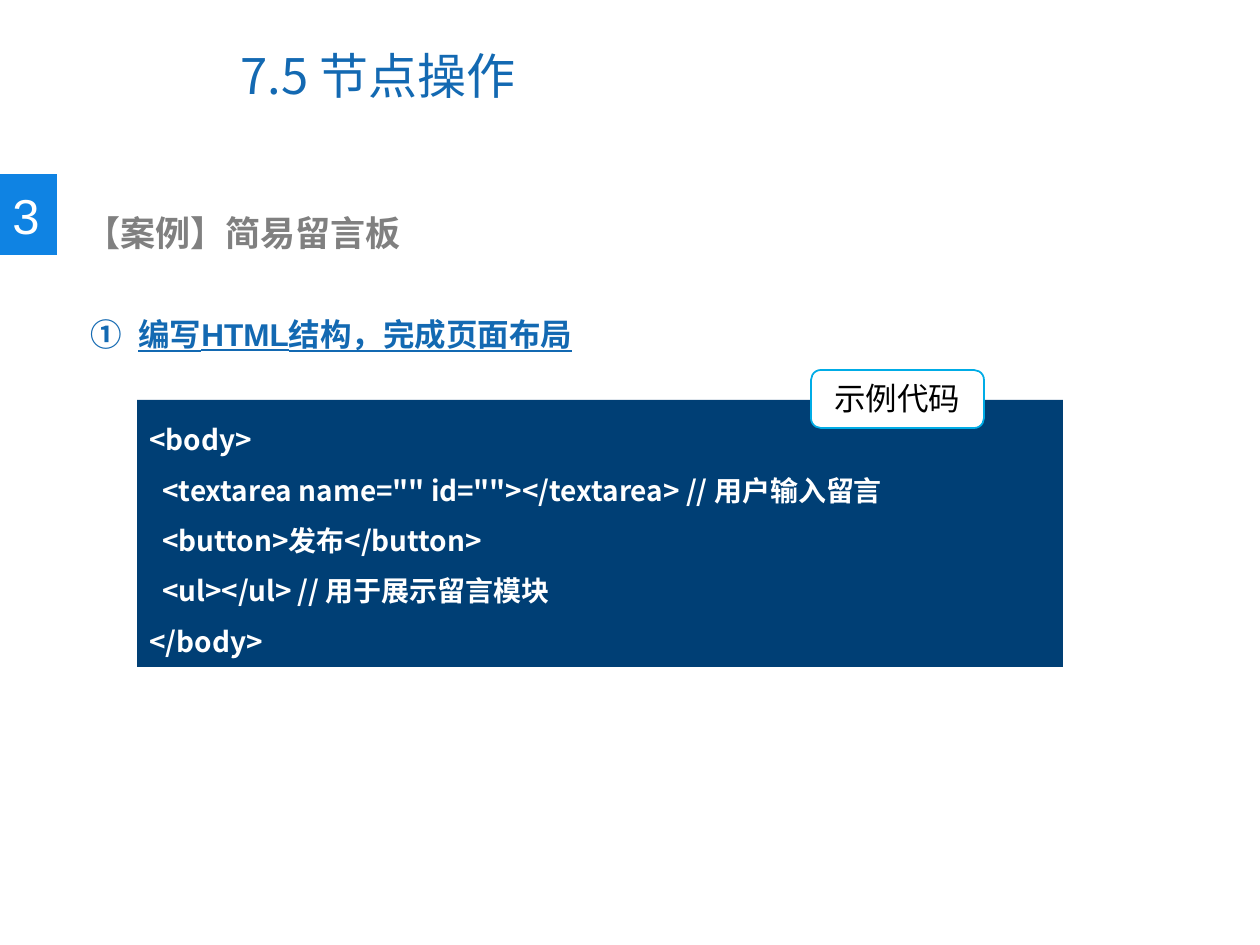
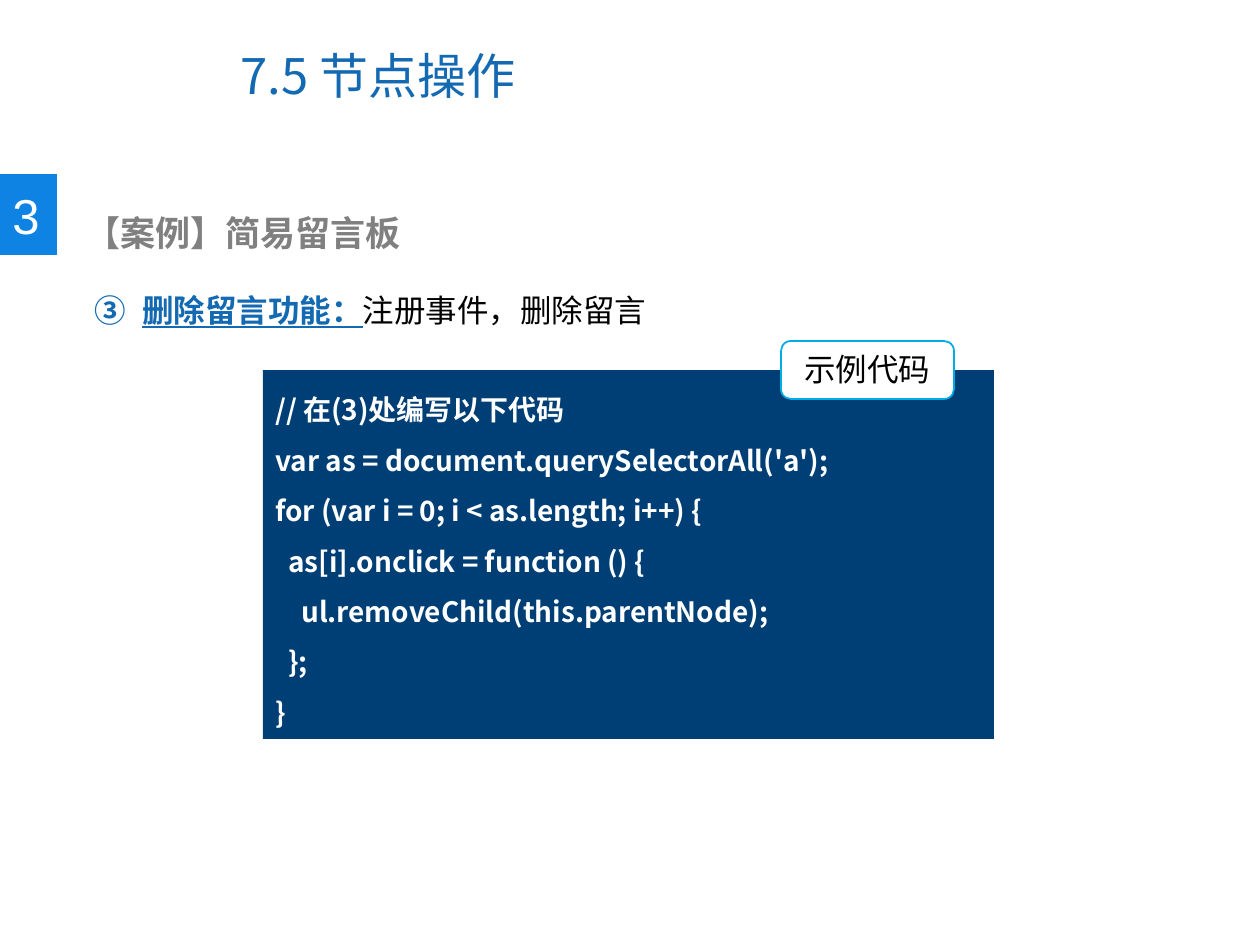
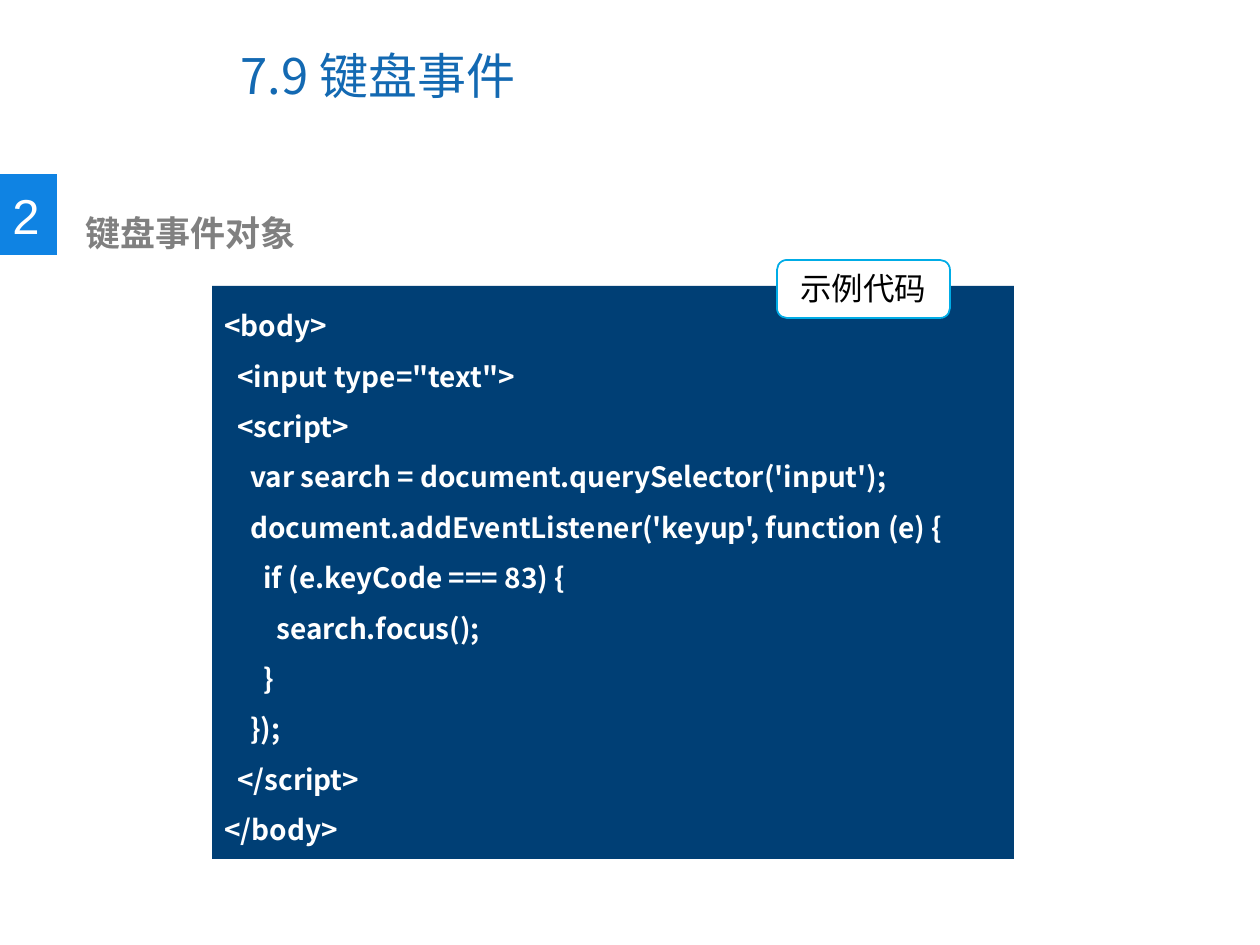
"""Build three lesson slides on DOM nodes and keyboard events."""
from dataclasses import dataclass
from typing import NamedTuple, Optional, Union

from lxml import etree
from pptx import Presentation
from pptx.dml.color import RGBColor
from pptx.enum.shapes import MSO_SHAPE
from pptx.enum.text import MSO_ANCHOR, PP_ALIGN
from pptx.oxml.ns import qn
from pptx.shapes.autoshape import Shape
from pptx.shapes.shapetree import GroupShapes, SlideShapes
from pptx.slide import Slide
from pptx.util import Pt

RECTANGLE = MSO_SHAPE.RECTANGLE
ROUNDED = MSO_SHAPE.ROUNDED_RECTANGLE
TOP = MSO_ANCHOR.TOP
MIDDLE = MSO_ANCHOR.MIDDLE
LEFT = PP_ALIGN.LEFT
CENTER = PP_ALIGN.CENTER

BLACK = RGBColor(0x00, 0x00, 0x00)
WHITE = RGBColor(0xFF, 0xFF, 0xFF)
GREY = RGBColor(0x80, 0x80, 0x80)
TITLE_BLUE = RGBColor(0x13, 0x69, 0xB2)
BADGE_BLUE = RGBColor(0x0F, 0x83, 0xE3)
CODE_NAVY = RGBColor(0x00, 0x3F, 0x75)
TAG_CYAN = RGBColor(0x00, 0xAC, 0xE6)

LATIN = "Arial"
CJK = "Noto Sans CJK SC"
EMU_PER_PX = 914400 / 126
BLANK_LAYOUT = 6
CODE_INDENT = 13
CODE_LINE = 51
CODE_PADDING = 12
STEP_INDENT = 48

Shapes = Union[SlideShapes, GroupShapes]


class Box(NamedTuple):
    """Left, top, width and height in px."""

    left: int
    top: int
    width: int
    height: int


class Style(NamedTuple):
    """Look of a text run."""

    size: int
    color: RGBColor
    font: str = LATIN
    bold: bool = False
    underline: bool = False


class CodeLine(NamedTuple):
    """A line of code and its nesting depth."""

    depth: int
    text: str


@dataclass(frozen=True)
class Step:
    """A numbered step of the case study."""

    box: Box
    number: int
    name: str
    detail: str = ""


@dataclass(frozen=True)
class Listing:
    """A code panel with its tag."""

    left: int
    top: int
    width: int
    tag_left: int
    tag_top: int
    lines: tuple[CodeLine, ...]


@dataclass(frozen=True)
class Lesson:
    """Content of one slide."""

    title: str
    section: str
    heading: str
    listing: Listing
    step: Optional[Step] = None


TITLE_BOX = Box(228, 21, 650, 107)
BADGE_BOX = Box(0, 174, 57, 81)
NUMBER_BOX = Box(0, 179, 53, 72)
HEADING_BOX = Box(59, 205, 648, 55)
HEADING_INDENT = 14
TAG_WIDTH, TAG_HEIGHT = 173, 58

TITLE_STYLE = Style(28, TITLE_BLUE, CJK)
NUMBER_STYLE = Style(28, WHITE)
HEADING_STYLE = Style(20, GREY, bold=True)
STEP_STYLE = Style(18, TITLE_BLUE, bold=True, underline=True)
BODY_STYLE = Style(18, BLACK)
CODE_STYLE = Style(16, WHITE, CJK, bold=True)

NODES_TITLE = "7.5 节点操作"
BOARD_HEADING = "【案例】简易留言板"
TAG_TEXT = "示例代码"

LESSONS = (
    Lesson(
        NODES_TITLE, "3", BOARD_HEADING,
        Listing(137, 400, 926, 811, 370, (
            CodeLine(0, "<body>"),
            CodeLine(1, '<textarea name="" id=""></textarea> // 用户输入留言'),
            CodeLine(1, "<button>发布</button>"),
            CodeLine(1, "<ul></ul> // 用于展示留言模块"),
            CodeLine(0, "</body>"),
        )),
        Step(Box(78, 271, 1090, 89), 1, "编写HTML结构，完成页面布局"),
    ),
    Lesson(
        NODES_TITLE, "3", BOARD_HEADING,
        Listing(263, 370, 731, 781, 341, (
            CodeLine(0, "// 在(3)处编写以下代码"),
            CodeLine(0, "var as = document.querySelectorAll('a');"),
            CodeLine(0, "for (var i = 0; i < as.length; i++) {"),
            CodeLine(1, "as[i].onclick = function () {"),
            CodeLine(2, "ul.removeChild(this.parentNode);"),
            CodeLine(1, "};"),
            CodeLine(0, "}"),
        )),
        Step(Box(82, 247, 1090, 77), 3, "删除留言功能：", "注册事件，删除留言"),
    ),
    Lesson(
        "7.9 键盘事件", "2", "键盘事件对象",
        Listing(212, 286, 802, 777, 260, (
            CodeLine(0, "<body>"),
            CodeLine(1, '<input type="text">'),
            CodeLine(1, "<script>"),
            CodeLine(2, "var search = document.querySelector('input');"),
            CodeLine(2, "document.addEventListener('keyup', function (e) {"),
            CodeLine(3, "if (e.keyCode === 83) {"),
            CodeLine(4, "search.focus();"),
            CodeLine(3, "}"),
            CodeLine(2, "});"),
            CodeLine(1, "</script>"),
            CodeLine(0, "</body>"),
        )),
    ),
)


def px(length: int) -> int:
    """Turn px into EMU."""
    return round(length * EMU_PER_PX)


def add_run(paragraph, text: str, style: Style) -> None:
    """Append a styled run to a paragraph."""
    run = paragraph.add_run()
    run.text = text
    font = run.font
    font.name = style.font
    font.size = Pt(style.size)
    font.bold = style.bold
    font.underline = style.underline
    font.color.rgb = style.color
    east_asian = etree.SubElement(run._r.get_or_add_rPr(), qn("a:ea"))
    east_asian.set("typeface", CJK)


def set_indent(paragraph, margin: int, first_line: int = 0) -> None:
    """Set the left margin and first-line indent of a paragraph."""
    properties = paragraph._p.get_or_add_pPr()
    properties.set("marL", str(px(margin)))
    properties.set("indent", str(px(first_line)))


def add_text(shapes: Shapes, box: Box, wrap: bool = True, anchor: MSO_ANCHOR = TOP):
    """Add a text box and return its first paragraph."""
    frame = shapes.add_textbox(*map(px, box)).text_frame
    frame.word_wrap = wrap
    frame.vertical_anchor = anchor
    return frame.paragraphs[0]


def add_panel(shapes: Shapes, kind: MSO_SHAPE, box: Box, fill: RGBColor,
              outline: Optional[RGBColor] = None) -> Shape:
    """Add a filled shape with top-aligned text."""
    panel = shapes.add_shape(kind, *map(px, box))
    panel.shadow.inherit = False
    panel.fill.solid()
    panel.fill.fore_color.rgb = fill
    if outline is None:
        panel.line.fill.background()
    else:
        panel.line.color.rgb = outline
        panel.line.width = Pt(1)
    panel.text_frame.word_wrap = True
    panel.text_frame.vertical_anchor = TOP
    return panel


def draw_header(slide: Slide, lesson: Lesson) -> None:
    """Draw the title, section badge and heading."""
    add_run(add_text(slide.shapes, TITLE_BOX, anchor=MIDDLE), lesson.title, TITLE_STYLE)
    badge = slide.shapes.add_group_shape().shapes
    add_panel(badge, RECTANGLE, BADGE_BOX, BADGE_BLUE)
    add_run(add_text(badge, NUMBER_BOX, wrap=False), lesson.section, NUMBER_STYLE)
    heading = add_text(slide.shapes, HEADING_BOX)
    set_indent(heading, HEADING_INDENT)
    add_run(heading, lesson.heading, HEADING_STYLE)


def draw_step(slide: Slide, step: Step) -> None:
    """Draw a step with its circled number."""
    paragraph = add_text(slide.shapes, step.box)
    paragraph.line_spacing = 2.0
    set_indent(paragraph, STEP_INDENT, -STEP_INDENT)
    numbering = etree.SubElement(paragraph._p.get_or_add_pPr(), qn("a:buAutoNum"))
    numbering.set("type", "circleNumDbPlain")
    numbering.set("startAt", str(step.number))
    add_run(paragraph, step.name, STEP_STYLE)
    if step.detail:
        add_run(paragraph, step.detail, BODY_STYLE)


def draw_listing(slide: Slide, listing: Listing) -> None:
    """Draw a code panel sized to its lines, with its tag."""
    group = slide.shapes.add_group_shape().shapes
    height = len(listing.lines) * CODE_LINE + CODE_PADDING
    code_box = Box(listing.left, listing.top, listing.width, height)
    code = add_panel(group, RECTANGLE, code_box, CODE_NAVY).text_frame
    for index, line in enumerate(listing.lines):
        paragraph = code.add_paragraph() if index else code.paragraphs[0]
        paragraph.alignment = LEFT
        paragraph.line_spacing = 1.5
        set_indent(paragraph, line.depth * CODE_INDENT)
        add_run(paragraph, line.text, CODE_STYLE)
    tag_box = Box(listing.tag_left, listing.tag_top, TAG_WIDTH, TAG_HEIGHT)
    tag = add_panel(group, ROUNDED, tag_box, WHITE, TAG_CYAN)
    tag.adjustments[0] = 0.17
    label = tag.text_frame.paragraphs[0]
    label.alignment = CENTER
    add_run(label, TAG_TEXT, BODY_STYLE)


def main() -> None:
    """Build and save the presentation."""
    deck = Presentation()
    deck.slide_width = px(1260)
    deck.slide_height = px(945)
    for lesson in LESSONS:
        slide = deck.slides.add_slide(deck.slide_layouts[BLANK_LAYOUT])
        draw_header(slide, lesson)
        if lesson.step:
            draw_step(slide, lesson.step)
        draw_listing(slide, lesson.listing)
    deck.save("out.pptx")


if __name__ == "__main__":
    main()
